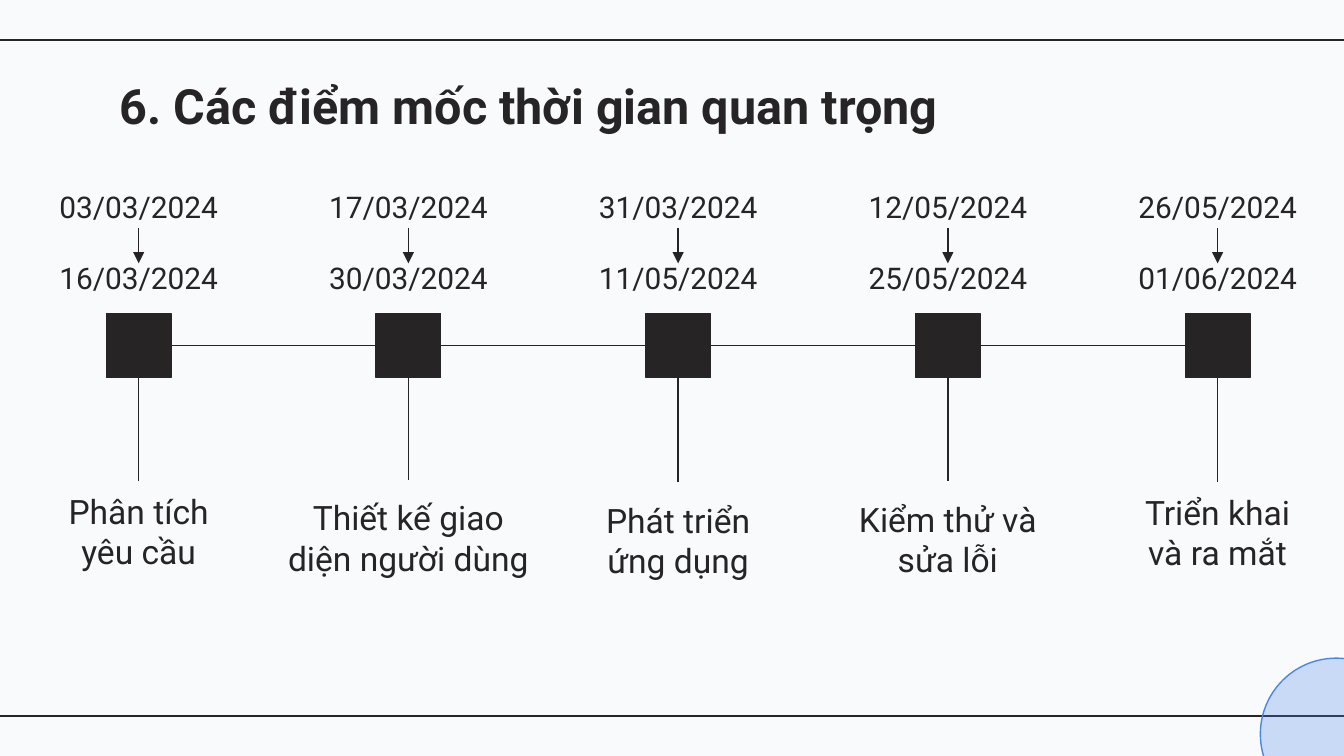
from lxml.etree import SubElement
from pptx import Presentation
from pptx.dml.color import RGBColor
from pptx.enum.shapes import MSO_CONNECTOR, MSO_SHAPE
from pptx.enum.text import MSO_ANCHOR, MSO_AUTO_SIZE, PP_ALIGN
from pptx.oxml.ns import qn
from pptx.util import Pt

INK = "262425"
BLUE = "4A86E8"


def rgb(value):
    return RGBColor.from_string(value)


def add_line(x1, y1, x2, y2, color=INK):
    cn = s.shapes.add_connector(MSO_CONNECTOR.STRAIGHT, Pt(x1), Pt(y1), Pt(x2), Pt(y2))
    cn.line.color.rgb = rgb(color)
    cn.line.width = Pt(0.75)
    SubElement(cn._element.spPr, qn("a:effectLst"))
    return cn


prs = Presentation()
prs.slide_width, prs.slide_height = Pt(720), Pt(405)
s = prs.slides.add_slide(prs.slide_layouts[5])
s.background.fill.solid()
s.background.fill.fore_color.rgb = rgb("F8FAFB")

for y in (21.5, 383.5):
    add_line(721.5, y, -1.5, y)

circle = s.shapes.add_shape(MSO_SHAPE.OVAL, Pt(675.2), Pt(352.6), Pt(81.4), Pt(81.4))
circle.shadow.inherit = False
circle.fill.solid()
circle.fill.fore_color.rgb = rgb(BLUE)
color = circle._element.spPr.find(qn("a:solidFill"))[0]
SubElement(color, qn("a:alpha")).set("val", "27000")
circle.line.color.rgb = rgb(BLUE)
circle.line.width = Pt(0.75)

title = s.shapes.title
title.left, title.top, title.width, title.height = Pt(56.9), Pt(32.4), Pt(607), Pt(48.2)
title.text_frame.text = "6. Các điểm mốc thời gian quan trọng"
texts = [(title, 26, True, PP_ALIGN.LEFT, MSO_ANCHOR.MIDDLE)]

milestones = [
    ("03/03/2024", "16/03/2024", "Phân tích yêu cầu", 121, 257.8, 55.4),
    ("17/03/2024", "30/03/2024", "Thiết kế giao diện người dùng", 148.3, 257, 59.8),
    ("31/03/2024", "11/05/2024", "Phát triển ứng dụng", 124.6, 258.5, 59.8),
    ("12/05/2024", "25/05/2024", "Kiểm thử và sửa lỗi", 126.7, 257.8, 59.8),
    ("26/05/2024", "01/06/2024", "Triển khai và ra mắt", 108, 258.5, 55.4),
]
first_x, step = 74.3, 144.5
side, square_top = 34.6, 167.8
mid_y, square_bottom = square_top + side / 2, square_top + side
previous = None

for i, (start, end, name, width, top, height) in enumerate(milestones):
    x = first_x + i * step
    square = s.shapes.add_shape(
        MSO_SHAPE.RECTANGLE, Pt(x - side / 2), Pt(square_top), Pt(side), Pt(side))
    square.shadow.inherit = False
    square.fill.solid()
    square.fill.fore_color.rgb = rgb(INK)
    square.line.color.rgb = rgb(INK)
    square.line.width = Pt(0.75)

    if previous is not None:
        link = add_line(x - step + side / 2, mid_y, x - side / 2, mid_y)
        link.begin_connect(previous, 3)
        link.end_connect(square, 1)
    previous = square

    label = s.shapes.add_textbox(Pt(x - width / 2), Pt(top), Pt(width), Pt(height))
    label.text_frame.text = name
    stem = add_line(x, square_bottom, x, top)
    stem.begin_connect(square, 2)
    stem.end_connect(label, 0)

    dates = s.shapes.add_textbox(Pt(x - 60.5), Pt(92.9), Pt(121), Pt(72.7))
    dates.text_frame.text = start
    p = dates.text_frame.add_paragraph()
    p.text = end
    p.space_before = Pt(19)
    arrow = add_line(x, 121.9, x, 141.1, "252324")
    SubElement(arrow.line._get_or_add_ln(), qn("a:tailEnd")).set("type", "triangle")

    texts.append((label, 18, False, PP_ALIGN.CENTER, MSO_ANCHOR.BOTTOM))
    texts.append((dates, 16, False, PP_ALIGN.CENTER, MSO_ANCHOR.BOTTOM))

for sp, size, bold, align, anchor in texts:
    tf = sp.text_frame
    tf.word_wrap = True
    tf.auto_size = MSO_AUTO_SIZE.NONE
    tf.vertical_anchor = anchor
    tf.margin_left = tf.margin_right = tf.margin_top = tf.margin_bottom = Pt(7.2)
    for p in tf.paragraphs:
        p.alignment = align
        for r in p.runs:
            r.font.name = "Roboto"
            r.font.size = Pt(size)
            r.font.bold = bold
            r.font.color.rgb = rgb(INK)

prs.save("out.pptx")
